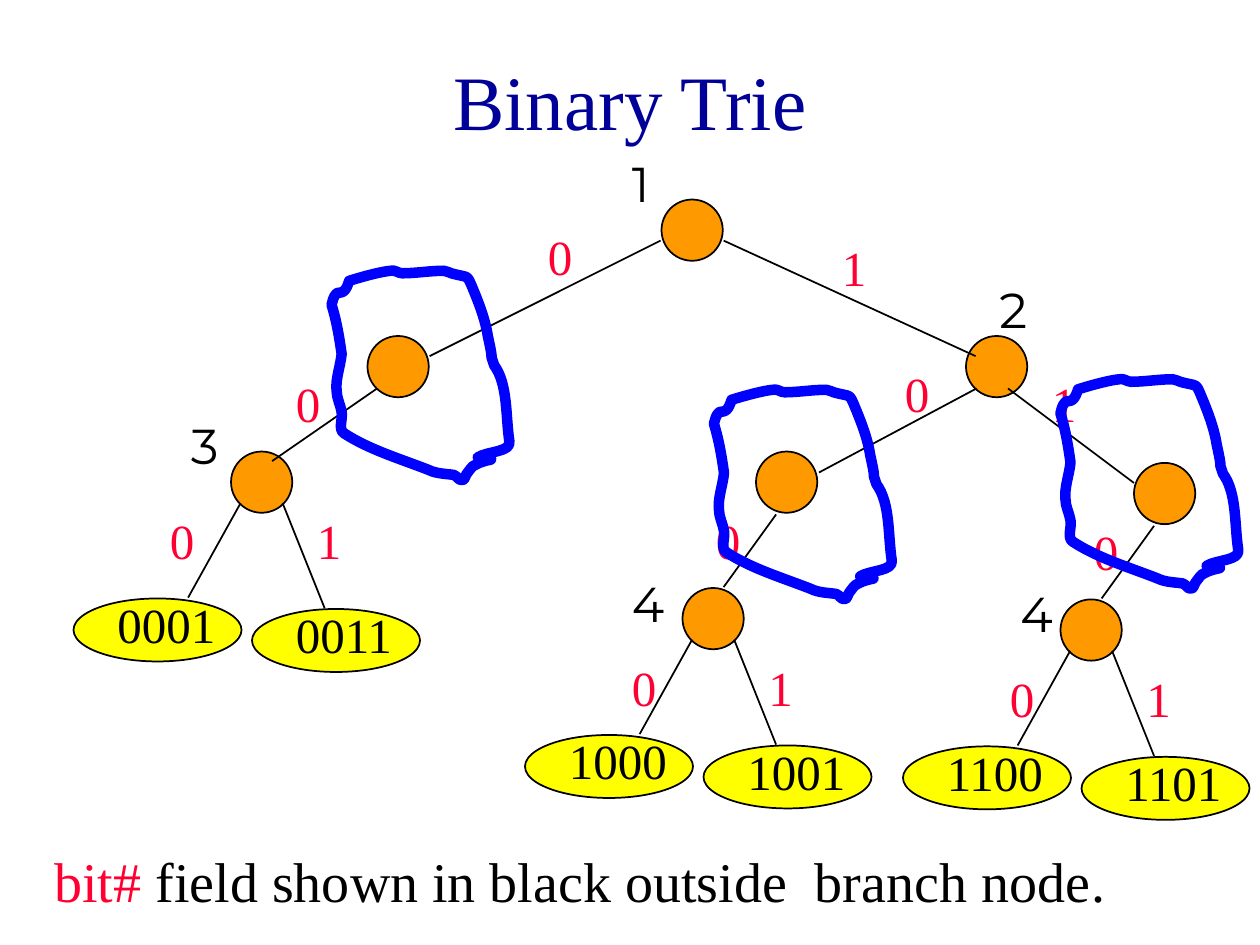
from lxml import etree
from pptx import Presentation
from pptx.dml.color import RGBColor
from pptx.enum.shapes import MSO_CONNECTOR, MSO_SHAPE
from pptx.enum.text import MSO_ANCHOR, PP_ALIGN
from pptx.oxml.ns import qn
from pptx.util import Pt

STRAIGHT = MSO_CONNECTOR.STRAIGHT
OVAL, RECT = MSO_SHAPE.OVAL, MSO_SHAPE.RECTANGLE
LEFT, CENTER = PP_ALIGN.LEFT, PP_ALIGN.CENTER
TOP, MIDDLE = MSO_ANCHOR.TOP, MSO_ANCHOR.MIDDLE

COLORS = {
    "title": "000099", "branch": "FF9900", "leaf": "FFFF00", "bit": "FF0033",
    "loop": "0000FF", "ink": "000000", "note": "010000", "paper": "FFFFFF",
}
SERIF, SANS = "Times New Roman", "Montserrat"
NODE = 35
LOOP_W, LOOP_H = 103, 121

LOOP_GRID = (143, 168)
LOOP_START = (116, 149)
LOOP_CURVES = [
    (124, 144, 143, 145, 141, 136), (138, 116, 140, 91, 129, 76),
    (124, 61, 130, 80, 124, 53), (122, 40, 117, 27, 112, 15),
    (107, 3, 109, 7, 95, 3), (93, 2, 89, 1, 89, 1),
    (78, 1, 67, 3, 56, 3), (53, 3, 50, 0, 47, 1),
    (36, 2, 14, 9, 14, 9), (13, 12, 12, 15, 10, 17),
    (8, 19, 5, 18, 4, 19), (1, 22, 1, 25, 0, 28),
    (4, 41, 6, 53, 8, 67), (7, 77, 3, 87, 4, 96),
    (4, 102, 7, 107, 8, 113), (9, 119, 5, 127, 10, 130),
    (30, 143, 54, 150, 77, 159), (83, 162, 90, 162, 97, 163),
    (100, 164, 101, 168, 104, 167), (106, 167, 106, 163, 108, 161),
    (110, 159, 111, 156, 114, 155), (125, 149, 135, 152, 116, 149),
]


def rgb(name):
    """Return the named colour."""
    return RGBColor.from_string(COLORS[name])


def add_run(p, text, size, color, font=SERIF):
    """Append one formatted run to a paragraph."""
    r = p.add_run()
    r.text = text
    r.font.size, r.font.name = Pt(size), font
    r.font.color.rgb = rgb(color)


def add_label(s, text, x, y, w, color, font=SERIF):
    """Place a one-line label in a box of the given width."""
    tf = s.shapes.add_textbox(Pt(x), Pt(y), Pt(w), Pt(41)).text_frame
    tf.word_wrap = True
    add_run(tf.paragraphs[0], text, 28, color, font)


def add_oval(s, x, y, w, h, fill):
    """Draw an outlined ellipse."""
    sp = s.shapes.add_shape(OVAL, Pt(x), Pt(y), Pt(w), Pt(h))
    sp.shadow.inherit = False
    sp.fill.solid()
    sp.fill.fore_color.rgb = rgb(fill)
    sp.line.color.rgb, sp.line.width = rgb("ink"), Pt(1)


def add_branch(s, x, y):
    """Draw a branch node."""
    add_oval(s, x, y, NODE, NODE, "branch")


def add_edge(s, x1, y1, x2, y2):
    """Draw a thin straight edge."""
    c = s.shapes.add_connector(STRAIGHT, Pt(x1), Pt(y1), Pt(x2), Pt(y2))
    c.line.color.rgb, c.line.width = rgb("ink"), Pt(1)
    etree.SubElement(c._element.spPr, qn("a:effectLst"))


def add_fork(s, x, y, keys, zero_dx, bit_dy):
    """Draw a branch node with its two leaves, edges and bits."""
    add_branch(s, x, y)
    add_edge(s, x + 5.5, y + 29.5, x - 24.5, y + 83.5)
    add_edge(s, x + 29.5, y + 29.5, x + 53.5, y + 89.5)
    for key, bit, dx, dy, bit_dx in zip(keys, "01", (-90, 12), (84, 90), (zero_dx, 42)):
        add_oval(s, x + dx, y + dy, 96, 36, "leaf")
        add_label(s, key, x + dx + 18, y + dy - 6, 84, "ink")
        add_label(s, bit, x + bit_dx, y + bit_dy, 36, "bit")


def add_stem(s, x, y, keys):
    """Draw a branch node with a single child that forks."""
    add_branch(s, x, y)
    add_fork(s, x - 42, y + 78, keys, -36, 36)
    add_edge(s, x + 11.5, y + 36, x - 18.5, y + 77.5)
    add_label(s, "0", x - 30, y + 30, 36, "bit")


def add_upper_tree(s):
    """Draw the root, its children and the edges leading down."""
    for x, y in ((378, 114), (210, 192), (552, 192)):
        add_branch(s, x, y)
    for edge in ((413.5, 137.5, 557.5, 203.5), (377.5, 137.5, 245.5, 203.5),
                 (215.5, 222, 155.5, 263.5), (558, 222, 468, 270),
                 (576, 222, 648, 276)):
        add_edge(s, *edge)
    for bit, x, y in (("0", 306, 126), ("1", 474, 132), ("0", 162, 210),
                      ("0", 510, 204), ("1", 594, 210)):
        add_label(s, bit, x, y, 36, "bit")


def add_loop(s, x, y, w, h):
    """Draw a hand-drawn closed loop of curves inside the given box."""
    fb = s.shapes.build_freeform(*LOOP_START)
    fb.add_line_segments([curve[-2:] for curve in LOOP_CURVES], close=True)
    sp = fb.convert_to_shape()
    sp.left, sp.top, sp.width, sp.height = Pt(x), Pt(y), Pt(w), Pt(h)
    outline = next(sp._element.iter(qn("a:path")))
    for name, size in zip("wh", LOOP_GRID):
        outline.set(name, str(size))
    for step in list(outline):
        outline.remove(step)
    for tag, coords in [("a:moveTo", LOOP_START)] + [("a:cubicBezTo", c) for c in LOOP_CURVES]:
        step = etree.SubElement(outline, qn(tag))
        for px, py in zip(coords[::2], coords[1::2]):
            etree.SubElement(step, qn("a:pt"), x=str(px), y=str(py))
    etree.SubElement(outline, qn("a:close"))
    sp.shadow.inherit = False
    sp.fill.background()
    sp.line.color.rgb, sp.line.width = rgb("loop"), Pt(6)
    etree.SubElement(sp._element.spPr.find(qn("a:ln")), qn("a:round"))


def add_title(s, x, y, w, h):
    """Fill and place the title placeholder."""
    sp = s.shapes.title
    sp.left, sp.top, sp.width, sp.height = Pt(x), Pt(y), Pt(w), Pt(h)
    tf = sp.text_frame
    tf.vertical_anchor = MIDDLE
    p = tf.paragraphs[0]
    p.alignment = CENTER
    add_run(p, "Binary Trie", 44, "title")


def add_note(s, x, y, w, h):
    """Write the explanation under the tree."""
    sp = s.shapes.add_shape(RECT, Pt(x), Pt(y), Pt(w), Pt(h))
    sp.shadow.inherit = False
    sp.fill.solid()
    sp.fill.fore_color.rgb = rgb("paper")
    sp.line.fill.background()
    tf = sp.text_frame
    tf.word_wrap, tf.vertical_anchor = True, TOP
    p = tf.paragraphs[0]
    p.alignment = LEFT
    add_run(p, "bit# ", 32, "bit")
    add_run(p, "field shown in black outside  branch node", 32, "note")
    add_run(p, ".", 32, "ink")


def main():
    """Build the slide."""
    prs = Presentation()
    prs.slide_width, prs.slide_height = Pt(720), Pt(540)
    s = prs.slides.add_slide(prs.slide_layouts[5])
    add_title(s, 54, 12, 612, 90)
    add_fork(s, 132, 258, ("0001", "0011"), -42, 30)
    add_stem(s, 432, 258, ("1000", "1001"))
    add_stem(s, 648, 264.5, ("1100", "1101"))
    add_upper_tree(s)
    for x, y in ((189.5, 154), (408, 222), (606, 216)):
        add_loop(s, x, y, LOOP_W, LOOP_H)
    for number, x, y in (("1", 354, 84), ("2", 564, 156), ("3", 102, 234),
                         ("4", 354, 324), ("4", 576, 330)):
        add_label(s, number, x, y, 48, "note", SANS)
    add_note(s, 24, 480, 636, 46)
    prs.save("out.pptx")


if __name__ == "__main__":
    main()
